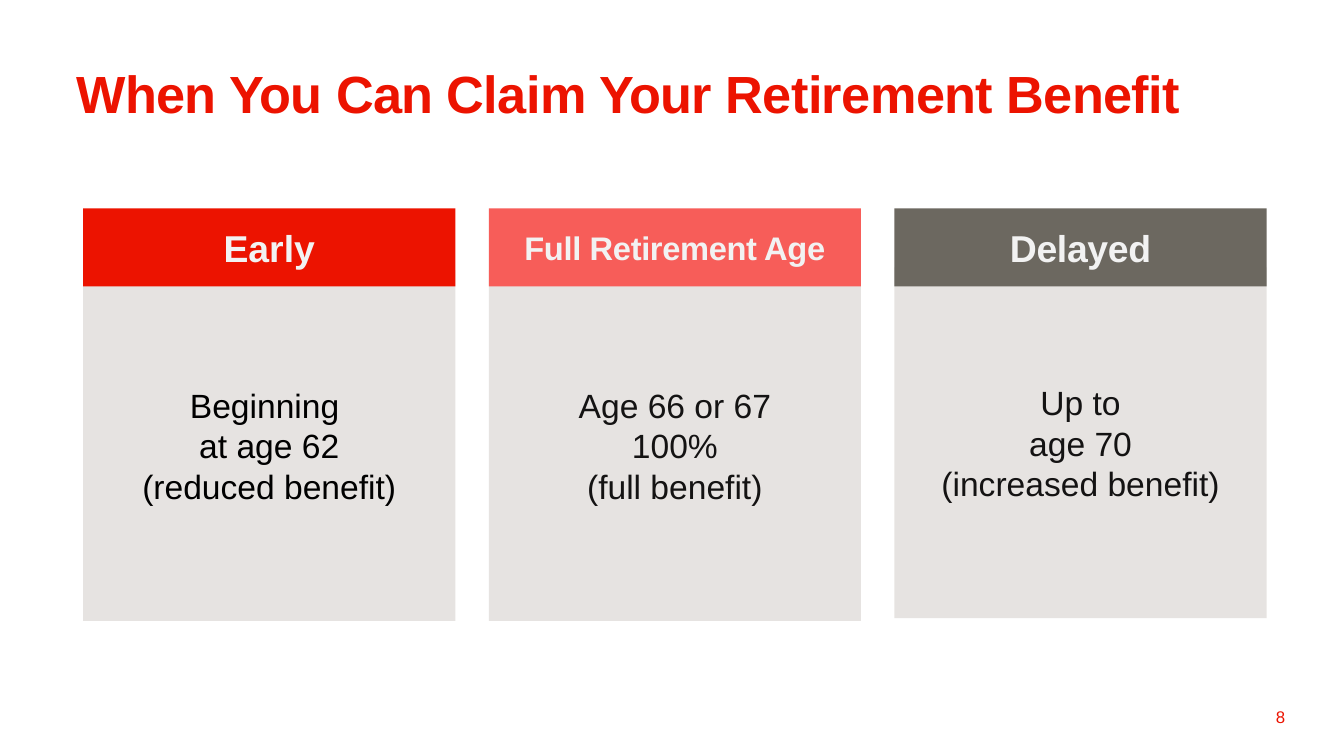
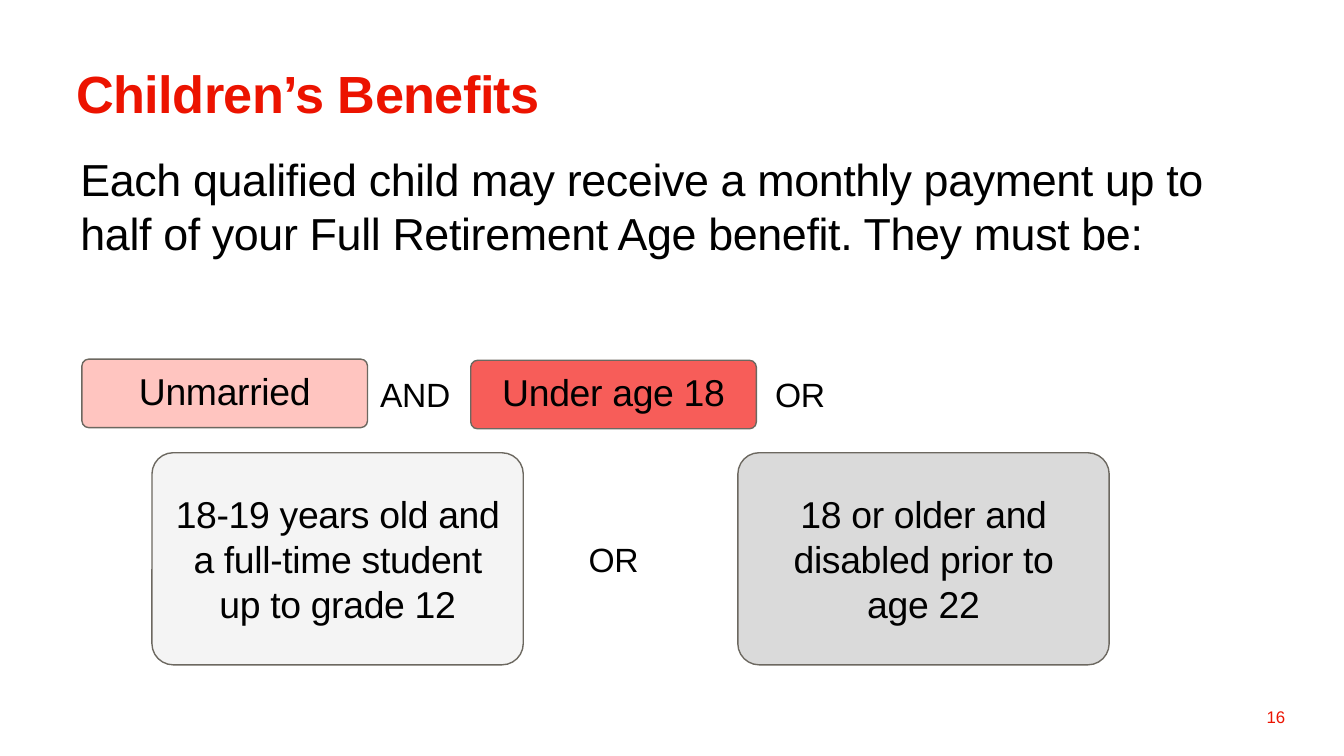
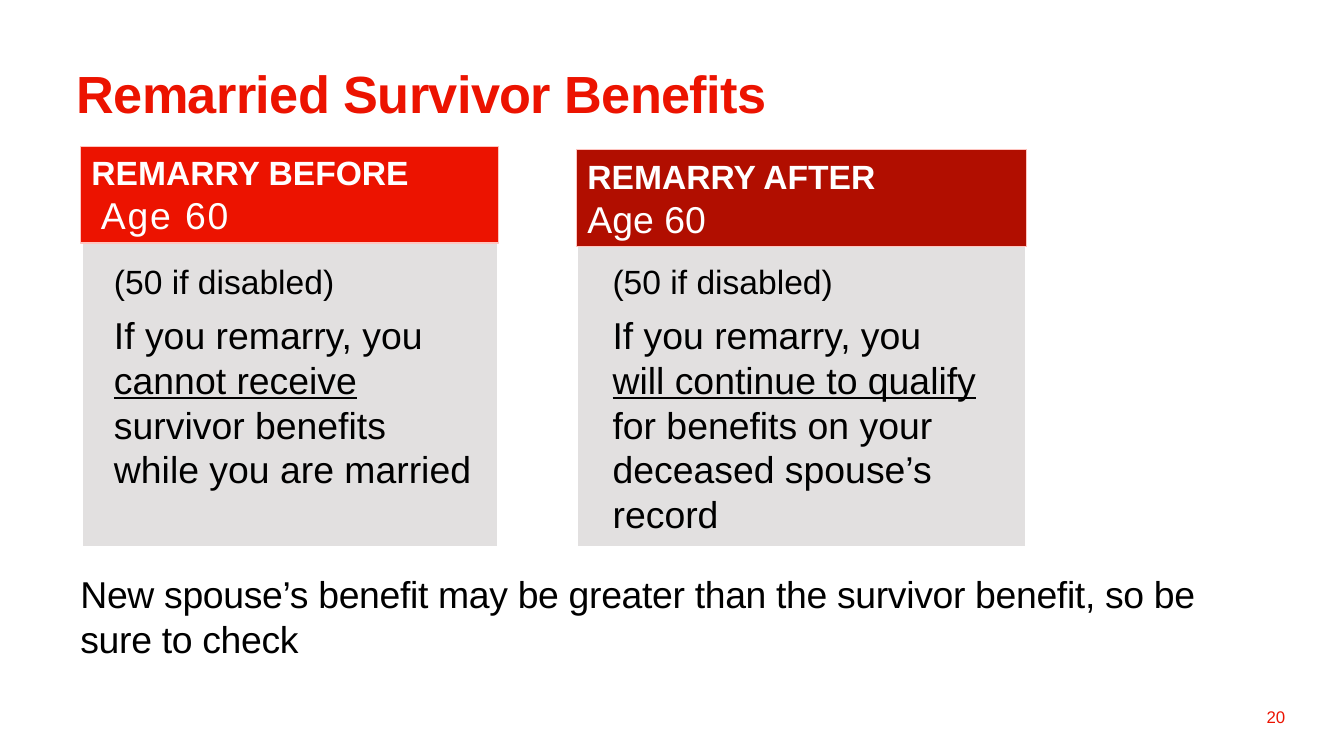
from dataclasses import dataclass

from lxml.etree import SubElement
from pptx import Presentation
from pptx.dml.color import RGBColor
from pptx.enum.shapes import MSO_SHAPE
from pptx.enum.text import MSO_ANCHOR, MSO_AUTO_SIZE, PP_ALIGN
from pptx.oxml.ns import qn
from pptx.shapes.autoshape import Shape
from pptx.slide import Slide
from pptx.text.text import TextFrame
from pptx.util import Pt

FONT = "Arial"
RED = RGBColor(0xEC, 0x13, 0x00)
DARK_RED = RGBColor(0xB1, 0x0E, 0x00)
CORAL = RGBColor(0xF7, 0x5D, 0x59)
PINK = RGBColor(0xFF, 0xC5, 0xC0)
STONE = RGBColor(0x6C, 0x68, 0x60)
SAND = RGBColor(0xCF, 0xC9, 0xC4)
SILVER = RGBColor(0xC6, 0xC3, 0xC3)
LIGHT_GREY = RGBColor(0xDA, 0xDA, 0xDA)
OFF_WHITE = RGBColor(0xF2, 0xF2, 0xF2)
WHITE = RGBColor(0xFF, 0xFF, 0xFF)
INK = RGBColor(0x14, 0x13, 0x13)
BLACK = RGBColor(0x00, 0x00, 0x00)

DEFAULT_INSETS = (7.2, 3.6)


@dataclass(frozen=True)
class Box:
    left: float
    top: float
    width: float
    height: float

    def lengths(self) -> tuple[Pt, ...]:
        return Pt(self.left), Pt(self.top), Pt(self.width), Pt(self.height)


@dataclass(frozen=True)
class Span:
    """A stretch of text; unset values come from the call to write()."""
    text: str
    size: float | None = None
    bold: bool | None = None
    underline: bool | None = None
    spacing: float | None = None


@dataclass(frozen=True)
class ClaimOption:
    heading: str
    heading_size: float
    heading_spacing: float
    colour: RGBColor
    body: list[str]
    body_colour: RGBColor
    body_top: float


@dataclass(frozen=True)
class Condition:
    text: str
    box: Box
    colour: RGBColor
    opacity: int = 100
    line_spacing: float = 1.0


@dataclass(frozen=True)
class Remarriage:
    header: Box
    colour: RGBColor
    heading: list[list[Span]]
    details: Box
    outcome: list[Span]


TITLE_BOX = Box(33.8, 29.5, 615.6, 40.3)
NUMBER_BOX = Box(527.8, 373, 167.8, 21.6)

CLAIM_OPTIONS = [
    ClaimOption("Early", 20, 0, RED,
                ["Beginning \nat age 62\n(reduced benefit)"], BLACK, 144.7),
    ClaimOption("Full Retirement Age", 17.5, -0.2, CORAL,
                ["Age 66 or 67", "100%", "(full benefit)"], INK, 144.7),
    ClaimOption("Delayed", 20, -0.2, STONE,
                ["Up to", "age 70", "(increased benefit)"], INK, 143.3),
]

CONDITIONS = [
    Condition("Unmarried", Box(43.9, 192.4, 153, 36.7), PINK, line_spacing=0.9),
    Condition("Under age 18", Box(252.2, 193, 153, 36.7), CORAL, line_spacing=0.9),
    Condition("18-19 years old and a full-time student up to grade 12",
              Box(81.4, 242.6, 198.9, 113.6), LIGHT_GREY, opacity=29),
    Condition("18 or older and disabled prior to age 22",
              Box(395.3, 242.6, 198.9, 113.6), LIGHT_GREY),
]

CONJUNCTIONS = [
    ("AND", Box(196.6, 196.6, 52.6, 28.8)),
    ("OR", Box(408.2, 196.6, 41.8, 28.8)),
    ("OR", Box(308.2, 285.1, 41.8, 28.8)),
]

REMARRIAGES = [
    Remarriage(
        Box(43.2, 78.5, 223.9, 51.8), RED,
        [[Span("REMARRY BEFORE \n "), Span("Age 60", 20, False, spacing=1)]],
        Box(54, 136.1, 205.9, 131.8),
        [Span("If you remarry, you ", 20),
         Span("cannot receive ", 20, underline=True),
         Span("survivor benefits while you are married", 20)]),
    Remarriage(
        Box(308.9, 80.2, 241.2, 51.8), DARK_RED,
        [[Span("REMARRY AFTER")], [Span("Age 60", 20, False)]],
        Box(321.1, 136.1, 211.7, 156.2),
        [Span("If you remarry, you \n", 20),
         Span("will continue to qualify ", 20, underline=True),
         Span("for benefits on your deceased spouse’s record", 20)]),
]


def write(frame: TextFrame, paragraphs: list[str | list[Span]], *, size: float,
          colour: RGBColor = BLACK, bold: bool = False, spacing: float = 0,
          align: PP_ALIGN = PP_ALIGN.LEFT, anchor: MSO_ANCHOR = MSO_ANCHOR.TOP,
          insets: tuple[float, float] = DEFAULT_INSETS, wrap: bool = True,
          grow: bool = False, gap: float = 0, line_spacing: float = 1.0) -> None:
    frame.word_wrap = wrap
    frame.auto_size = MSO_AUTO_SIZE.SHAPE_TO_FIT_TEXT if grow else MSO_AUTO_SIZE.NONE
    frame.vertical_anchor = anchor
    frame.margin_left = frame.margin_right = Pt(insets[0])
    frame.margin_top = frame.margin_bottom = Pt(insets[1])
    for index, content in enumerate(paragraphs):
        paragraph = frame.paragraphs[0] if index == 0 else frame.add_paragraph()
        paragraph.alignment = align
        paragraph.line_spacing = line_spacing
        paragraph.space_before = Pt(gap if index else 0)
        spans = [Span(content)] if isinstance(content, str) else content
        for span in spans:
            for line_index, line in enumerate(span.text.split("\n")):
                if line_index:
                    paragraph.add_line_break()
                if not line:
                    continue
                run = paragraph.add_run()
                run.text = line
                run.font.name = FONT
                run.font.size = Pt(span.size or size)
                run.font.bold = bold if span.bold is None else span.bold
                run.font.underline = span.underline
                run.font.color.rgb = colour
                tracking = spacing if span.spacing is None else span.spacing
                if tracking:
                    run.font._element.set("spc", str(round(tracking * 100)))


def add_panel(slide: Slide, box: Box, colour: RGBColor, *, opacity: int = 100,
              line: RGBColor | None = None, line_width: float = 0.75,
              corner: float = 0) -> Shape:
    kind = MSO_SHAPE.ROUNDED_RECTANGLE if corner else MSO_SHAPE.RECTANGLE
    panel = slide.shapes.add_shape(kind, *box.lengths())
    panel.shadow.inherit = False
    if corner:
        panel.adjustments[0] = corner
    panel.fill.solid()
    panel.fill.fore_color.rgb = colour
    if opacity < 100:
        tint = panel.fill._xPr.find(qn("a:solidFill"))[0]
        SubElement(tint, qn("a:alpha")).set("val", str(opacity * 1000))
    if line is None:
        panel.line.fill.background()
    else:
        panel.line.color.rgb = line
        panel.line.width = Pt(line_width)
    return panel


def add_text(slide: Slide, box: Box, paragraphs: list[str | list[Span]],
             **text_format) -> None:
    write(slide.shapes.add_textbox(*box.lengths()).text_frame, paragraphs, **text_format)


def add_titled_slide(deck: Presentation, title: str, number: int) -> Slide:
    slide = deck.slides.add_slide(deck.slide_layouts[5])
    heading = slide.shapes.title
    heading.left, heading.top, heading.width, heading.height = TITLE_BOX.lengths()
    write(heading.text_frame, [title], size=28, colour=RED, bold=True,
          spacing=-0.3, anchor=MSO_ANCHOR.MIDDLE)
    add_text(slide, NUMBER_BOX, [str(number)], size=9, colour=RED,
             align=PP_ALIGN.RIGHT, anchor=MSO_ANCHOR.MIDDLE)
    return slide


def build_claiming_ages(deck: Presentation) -> None:
    slide = add_titled_slide(deck, "When You Can Claim Your Retirement Benefit", 8)
    width, pitch = 199.4, 217.3
    for column, option in enumerate(CLAIM_OPTIONS):
        left = 44.6 + column * pitch
        body = add_panel(slide, Box(left, option.body_top, width, 187.9), SAND, opacity=50)
        write(body.text_frame, option.body, size=18, colour=option.body_colour,
              align=PP_ALIGN.CENTER, anchor=MSO_ANCHOR.MIDDLE)
        header = add_panel(slide, Box(left, 111.6, width, 41.8), option.colour)
        write(header.text_frame, [option.heading], size=option.heading_size,
              colour=OFF_WHITE, bold=True, spacing=option.heading_spacing,
              align=PP_ALIGN.CENTER, anchor=MSO_ANCHOR.MIDDLE, insets=(17.3, 8.6))


def build_children(deck: Presentation) -> None:
    slide = add_titled_slide(deck, "Children’s Benefits", 16)
    add_text(slide, Box(36, 77.8, 615.6, 65.5),
             ["Each qualified child may receive a monthly payment up to half of "
              "your Full Retirement Age benefit. They must be:"],
             size=24, spacing=-0.2, grow=True)
    for condition in CONDITIONS:
        panel = add_panel(slide, condition.box, condition.colour,
                          opacity=condition.opacity, line=STONE, corner=0.1)
        write(panel.text_frame, [condition.text], size=20, spacing=-0.2,
              align=PP_ALIGN.CENTER, anchor=MSO_ANCHOR.MIDDLE, insets=(9.4, 7.9),
              line_spacing=condition.line_spacing)
    for word, box in CONJUNCTIONS:
        add_text(slide, box, [word], size=18, spacing=-0.2, wrap=False, grow=True)


def build_remarriage(deck: Presentation) -> None:
    slide = add_titled_slide(deck, "Remarried Survivor Benefits", 20)
    for case in REMARRIAGES:
        add_panel(slide, Box(case.header.left, 129.6, case.header.width, 164.2),
                  SILVER, opacity=50, line=WHITE, line_width=2)
        header = add_panel(slide, case.header, case.colour, line=PINK)
        write(header.text_frame, case.heading, size=18, colour=WHITE, bold=True,
              anchor=MSO_ANCHOR.MIDDLE, insets=(5.8, 2.9), grow=True)
        add_text(slide, case.details, ["(50 if disabled)", case.outcome],
                 size=18, gap=6, grow=True)
    add_text(slide, Box(36, 302.4, 640.1, 55.4),
             ["New spouse’s benefit may be greater than the survivor benefit, "
              "so be sure to check"],
             size=20, spacing=-0.2, grow=True)


def main() -> None:
    deck = Presentation()
    deck.slide_width, deck.slide_height = Pt(720), Pt(405)
    build_claiming_ages(deck)
    build_children(deck)
    build_remarriage(deck)
    deck.save("out.pptx")


if __name__ == "__main__":
    main()
